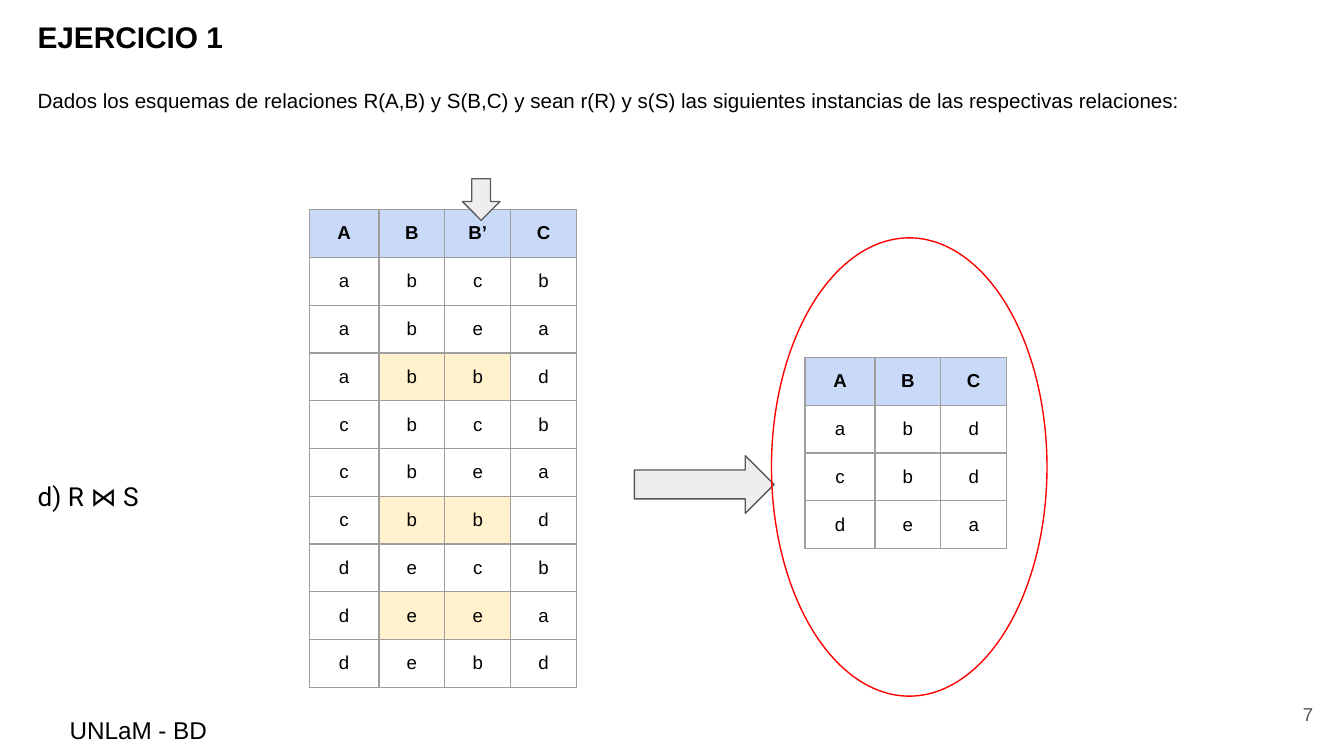
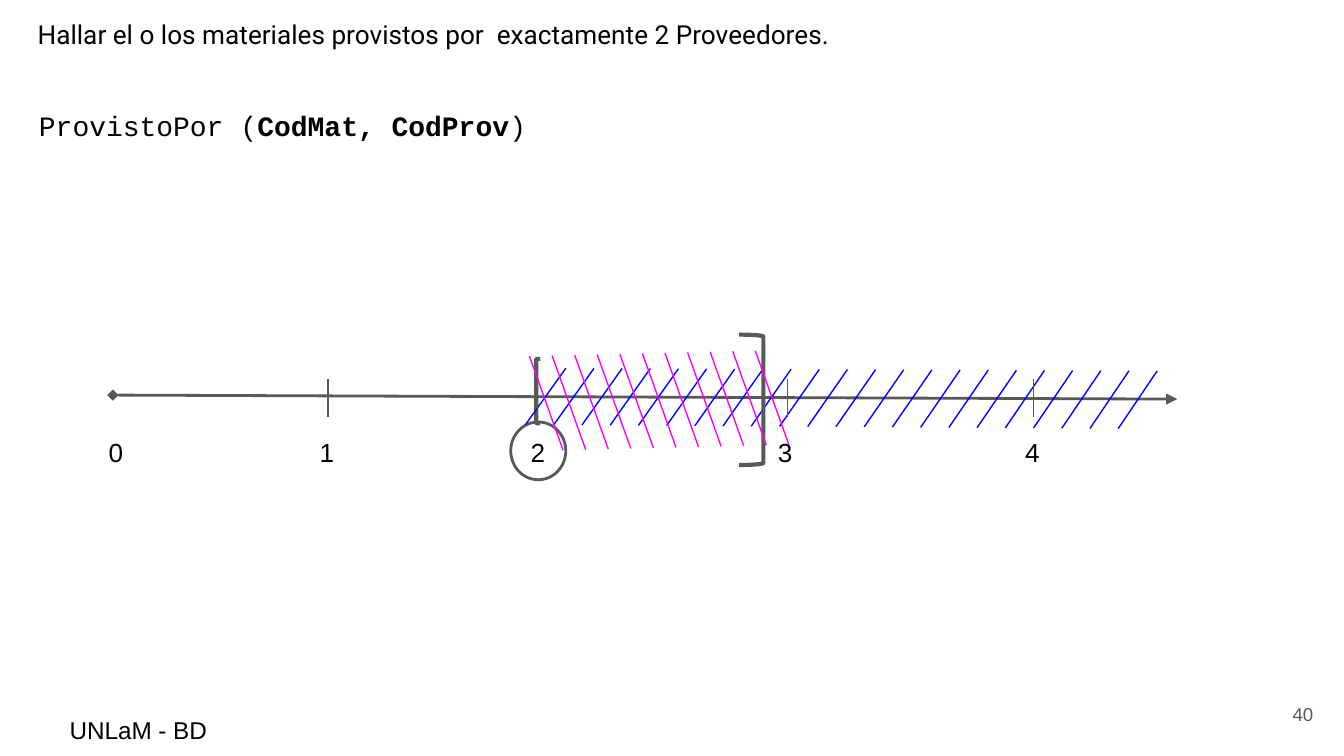
import itertools

import pptx
import pptx.dml.color
import pptx.enum.shapes
import pptx.enum.text
import pptx.oxml.ns
import pptx.util
from lxml import etree

Inches = pptx.util.Inches
Pt = pptx.util.Pt
Shape = pptx.enum.shapes.MSO_SHAPE
Align = pptx.enum.text.PP_ALIGN
Anchor = pptx.enum.text.MSO_ANCHOR
qn = pptx.oxml.ns.qn

COLORS = {
    "text": "000000",
    "number": "595959",
    "stroke": "595959",
    "arrow": "EEEEEE",
    "border": "9E9E9E",
    "header": "C9DAF8",
    "match": "FFF2CC",
    "circle": "FF0000",
    "at_least": "0000FF",
    "at_most": "FF00FF",
}
MARGINS = dict.fromkeys(
    ("margin_left", "margin_top", "margin_right", "margin_bottom"), Inches(0.1))


def color(name):
    return pptx.dml.color.RGBColor.from_string(COLORS[name])


def set_format(target, values):
    for name, value in values.items():
        setattr(target, name, value)


def set_fill(target, name):
    if name:
        target.fill.solid()
        target.fill.fore_color.rgb = color(name)
    else:
        target.fill.background()


class Deck:
    """Holds the presentation, its shared style and the current slide."""

    def __init__(self):
        self.presentation = pptx.Presentation()
        width = Inches(10)
        set_format(self.presentation, {
            "slide_width": width,
            "slide_height": width * 9 // 16,
        })
        self.slide = None

    def add_slide(self):
        layout = self.presentation.slide_layouts[1]
        self.slide = self.presentation.slides.add_slide(layout)

    def footer(self, number):
        self.text_box((9.27, 5.1, 0.6, 0.43), number, Align.RIGHT, Anchor.MIDDLE,
                      size=10, color_name="number")
        self.text_box((0.42, 5.22, 1.44, 0.31), "UNLaM - BD", size=13)

    # Text
    def frame(self, frame, anchor=Anchor.TOP):
        set_format(frame, {
            **MARGINS,
            "word_wrap": True,
            "auto_size": pptx.enum.text.MSO_AUTO_SIZE.NONE,
            "vertical_anchor": anchor,
        })
        return frame

    def run(self, paragraph, text, size, font="Arial", bold=False, color_name="text"):
        run = paragraph.add_run()
        run.text = text
        set_format(run.font, {"name": font, "size": Pt(size), "bold": bold})
        run.font.color.rgb = color(color_name)

    def text_box(self, box, text, align=Align.LEFT, anchor=Anchor.TOP, **style):
        shape = self.slide.shapes.add_textbox(*map(Inches, box))
        paragraph = self.frame(shape.text_frame, anchor).paragraphs[0]
        paragraph.alignment = align
        self.run(paragraph, text, **style)

    def placeholder(self, index, box, paragraphs):
        """Fill a placeholder; each paragraph is (space before, runs)."""
        shape = self.slide.placeholders[index]
        places = ("left", "top", "width", "height")
        set_format(shape, dict(zip(places, map(Inches, box))))
        frame = self.frame(shape.text_frame)
        for position, (space, runs) in enumerate(paragraphs):
            paragraph = frame.add_paragraph() if position else frame.paragraphs[0]
            set_format(paragraph, {
                "line_spacing": 1.15,
                "space_before": Pt(space),
                "alignment": Align.LEFT,
            })
            properties = paragraph._p.get_or_add_pPr()
            properties.set("marL", str(Inches(0.18)))
            properties.set("indent", "0")
            etree.SubElement(properties, qn("a:buNone"))
            for text, style in runs:
                self.run(paragraph, text, **style)

    # Shapes and lines
    def shape(self, kind, box, fill=None, line="stroke", width=0.75, adjustment=None):
        shape = self.slide.shapes.add_shape(kind, *map(Inches, box))
        shape.shadow.inherit = False
        set_fill(shape, fill)
        shape.line.color.rgb = color(line)
        shape.line.width = Pt(width)
        if adjustment is not None:
            shape.adjustments[0] = adjustment

    def line(self, points, line="stroke", width=0.75, head=None, tail=None):
        connector = self.slide.shapes.add_connector(
            pptx.enum.shapes.MSO_CONNECTOR.STRAIGHT, *map(Inches, points))
        connector.line.color.rgb = color(line)
        connector.line.width = Pt(width)
        for tag, end in (("a:headEnd", head), ("a:tailEnd", tail)):
            if end:
                etree.SubElement(connector.line._get_or_add_ln(), qn(tag), type=end)
        etree.SubElement(connector._element.spPr, qn("a:effectLst"))

    def hatch(self, first, last, count, line):
        """Draw evenly spaced strokes from the first line to the last."""
        for step in range(count):
            share = step / (count - 1)
            self.line([a + (b - a) * share for a, b in zip(first, last)], line)

    # Tables
    def table(self, left, top, rows, highlight=None):
        """Draw rows under a header; highlight(row, column) marks cells."""
        widths = [0.52] + [0.49] * (len(rows[0]) - 1)
        table = self.slide.shapes.add_table(
            len(rows), len(widths), Inches(left), Inches(top),
            Inches(sum(widths)), Inches(0.32 * len(rows))).table
        set_format(table, {"first_row": False, "horz_banding": False})
        for column, width in zip(table.columns, widths):
            column.width = Inches(width)
        for row, values in enumerate(rows):
            for column, value in enumerate(values):
                fill = None
                if row == 0:
                    fill = "header"
                elif highlight and highlight(values, column):
                    fill = "match"
                self.cell(table.cell(row, column), value, fill, bold=row == 0)

    def cell(self, cell, text, fill, bold):
        set_format(cell, MARGINS)
        paragraph = cell.text_frame.paragraphs[0]
        paragraph.alignment = Align.CENTER
        self.run(paragraph, text, size=10, bold=bold)
        set_fill(cell, fill)
        properties = cell._tc.get_or_add_tcPr()
        for position, tag in enumerate(("a:lnL", "a:lnR", "a:lnT", "a:lnB")):
            border = etree.Element(qn(tag), w=str(Pt(0.75)))
            solid = etree.SubElement(border, qn("a:solidFill"))
            etree.SubElement(solid, qn("a:srgbClr"), val=COLORS["border"])
            properties.insert(position, border)


def add_join_slide(deck):
    deck.add_slide()
    deck.placeholder(0, (0, 0, 9.93, 1.38), [
        (29.5, [("EJERCICIO 1", {"size": 16, "bold": True})]),
        (15.8, [("Dados los esquemas de relaciones R(A,B) y S(B,C) y sean r(R) y s(S) "
                 "las siguientes instancias de las respectivas relaciones:", {"size": 11})]),
    ])
    deck.placeholder(1, (0, 3.44, 7.12, 1.93), [
        (0, [("d) R ⋈ S", {"size": 14, "font": "Roboto"})]),
    ])

    # Cartesian product, with the rows that match on B, and the natural join
    relation_r = ["ab", "cb", "de"]
    relation_s = ["cb", "ea", "bd"]
    product = [r + s for r, s in itertools.product(relation_r, relation_s)]
    join = [a + b + c for a, b, b2, c in product if b == b2]
    deck.table(2.3, 1.56, [("A", "B", "B’", "C"), *product],
               lambda values, column: column in (1, 2) and values[1] == values[2])
    deck.table(5.99, 2.66, ["ABC", *join])

    # Arrows and ring around the result
    deck.shape(Shape.DOWN_ARROW, (3.44, 1.33, 0.28, 0.31), "arrow")
    deck.shape(Shape.RIGHT_ARROW, (4.72, 3.39, 1.04, 0.43), "arrow")
    deck.shape(Shape.OVAL, (5.74, 1.77, 2.05, 3.41), line="circle")
    deck.footer("7")


def add_number_line_slide(deck):
    deck.add_slide()
    deck.placeholder(0, (0, 0, 8.67, 0.87), [
        (15.6, [("Hallar el o los materiales provistos por  exactamente 2 Proveedores.",
                 {"size": 14, "font": "Roboto"})]),
    ])
    code = {"size": 15, "font": "Courier New"}
    deck.placeholder(1, (0.01, 0.67, 10, 0.43), [
        (0, [("ProvistoPor (", code), ("CodMat, CodProv", {**code, "bold": True}),
             (")", code)]),
    ])

    # Axis with its labels
    deck.line((0.84, 2.94, 8.76, 2.97), width=1.5, head="diamond", tail="triangle")
    for number, left in enumerate((0.71, 2.28, 3.85, 5.69, 7.53)):
        deck.text_box((left, 3.15, 0.32, 0.3), str(number), size=14)
    deck.shape(Shape.OVAL, (3.8, 3.14, 0.41, 0.43), width=1.5)

    # Range from 2 up, ticks, and range below 3
    deck.shape(Shape.LEFT_BRACKET, (3.99, 2.67, 0.03, 0.48), width=2.25, adjustment=0.08)
    deck.hatch((3.91, 3.16, 4.21, 2.74), (8.32, 3.19, 8.61, 2.76), 22, "at_least")
    for x in (2.44, 4, 5.86, 7.69):
        deck.line((x, 2.82, x, 3.1))
    deck.shape(Shape.RIGHT_BRACKET, (5.5, 2.49, 0.18, 0.97), width=2.25, adjustment=0.08)
    deck.hatch((5.87, 3.31, 5.62, 2.61), (4.19, 3.35, 3.94, 2.65), 11, "at_most")
    deck.footer("40")


def main():
    deck = Deck()
    add_join_slide(deck)
    add_number_line_slide(deck)
    deck.presentation.save("out.pptx")


if __name__ == "__main__":
    main()
